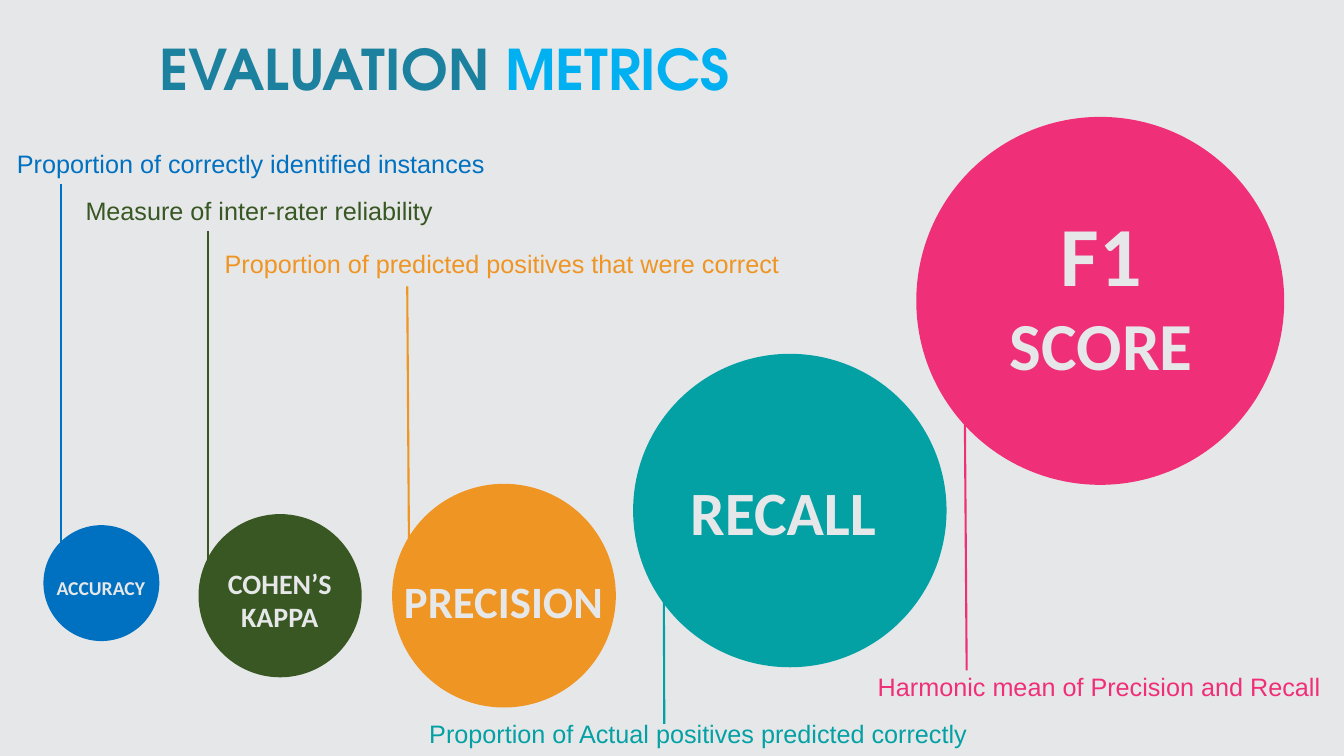
from pptx import Presentation
from pptx.dml.color import RGBColor
from pptx.enum import shapes, text
from pptx.oxml.ns import qn
from pptx.util import Pt
from lxml import etree

HUES = {
    "back": "E6E7E9", "title": "1C819E", "sky": "00B0F0",
    "blue": "0070C0", "green": "385723", "gold": "EE9524",
    "teal": "03A1A4", "pink": "EF3078",
}

# hue, ball (left, top, size), name box, [(word, font size)]
BALLS = [
    ("pink", (654.5, 83.5, 262.8), (689.8, 141.1, 193.7, 138.2),
     [("F1", 60), ("SCORE", 48)]),
    ("teal", (452.2, 252.7, 223.9), (452.9, 334.8, 213.1, 56.2),
     [("RECALL", 44)]),
    ("gold", (280.1, 345.6, 159.8), (262.8, 406.1, 193.7, 46.1),
     [("PRECISION", 32)]),
    ("green", (141.8, 367.2, 116.6), (103, 401, 193.7, 55.4),
     [("COHEN’S", 20), ("KAPPA", 20)]),
    ("blue", (31, 375.1, 82.8), (27.4, 407.5, 89.3, 24.5),
     [("ACCURACY", 14)]),
]

# hue, meaning, text box (left, top, width), line (from x, y, to x, y)
NOTES = [
    ("blue", "Proportion of correctly identified instances",
     (5, 102.2, 352.1), (43.9, 131.8, 43.9, 396.7)),
    ("green", "Measure of inter-rater reliability",
     (54, 136.1, 267.8), (148.3, 164.9, 148.3, 406.1)),
    ("gold", "Proportion of predicted positives that were correct",
     (153.4, 173.5, 414.7), (290.9, 204.5, 292.3, 414)),
    ("teal", "Proportion of Actual positives predicted correctly",
     (299.5, 509.8, 402.5), (473.8, 307.4, 474.5, 517)),
    ("pink", "Harmonic mean of Precision and Recall",
     (619.9, 475.9, 333.4), (689, 269.3, 690.5, 478.8)),
]


def pts(*nums):
    return [Pt(n) for n in nums]


def tint(hue):
    return RGBColor.from_string(HUES[hue])


def apply(item, form):
    for key, val in form.items():
        setattr(item, key, val)


def add_run(para, words, hue, size, face, bold=False):
    run = para.add_run()
    run.text = words
    apply(run.font, {"name": face, "size": Pt(size), "bold": bold})
    run.font.color.rgb = tint(hue)


def add_title(slide):
    title = slide.shapes.title
    apply(title, dict(zip(("left", "top", "width", "height"),
                          pts(113.8, 24.5, 445, 48.2))))
    frame = title.text_frame
    apply(frame, {"margin_left": 0, "margin_right": 0, "margin_top": 0,
                  "margin_bottom": 0, "word_wrap": True,
                  "auto_size": text.MSO_AUTO_SIZE.NONE,
                  "vertical_anchor": text.MSO_ANCHOR.TOP})
    para = frame.paragraphs[0]
    apply(para, {"alignment": text.PP_ALIGN.LEFT, "line_spacing": 1.0,
                 "space_before": Pt(0)})
    for words, hue in (("EVALUATION ", "title"), ("METRICS", "sky")):
        add_run(para, words, hue, 40, "TeX Gyre Adventor", True)


def add_ball(slide, hue, spot, box, names):
    group = slide.shapes.add_group_shape()
    left, top, size = pts(*spot)
    ball = group.shapes.add_shape(shapes.MSO_SHAPE.OVAL, left, top, size, size)
    ball.shadow.inherit = False
    ball.fill.solid()
    ball.fill.fore_color.rgb = tint(hue)
    ball.line.fill.background()

    frame = group.shapes.add_textbox(*pts(*box)).text_frame
    frame.word_wrap = True
    for i, (word, size) in enumerate(names):
        para = frame.add_paragraph() if i else frame.paragraphs[0]
        para.alignment = text.PP_ALIGN.CENTER
        add_run(para, word, "back", size, "Calibri", True)


def add_note(slide, hue, words, spot, ends):
    frame = slide.shapes.add_textbox(*pts(*spot, 28.8)).text_frame
    apply(frame, {"word_wrap": False,
                  "auto_size": text.MSO_AUTO_SIZE.SHAPE_TO_FIT_TEXT})
    add_run(frame.paragraphs[0], words, hue, 18, "Arial")

    line = slide.shapes.add_connector(shapes.MSO_CONNECTOR.STRAIGHT, *pts(*ends))
    line.line.color.rgb = tint(hue)
    line.line.width = Pt(1.5)
    etree.SubElement(line._element.spPr, qn("a:effectLst"))


def main():
    deck = Presentation()
    deck.slide_width, deck.slide_height = pts(960, 540)
    slide = deck.slides.add_slide(deck.slide_layouts[5])
    slide.background.fill.solid()
    slide.background.fill.fore_color.rgb = tint("back")

    # Heading
    add_title(slide)
    # Metric balls, largest first
    for ball in BALLS:
        add_ball(slide, *ball)
    # Meanings with their leader lines
    for note in NOTES:
        add_note(slide, *note)

    deck.save("out.pptx")


if __name__ == "__main__":
    main()
